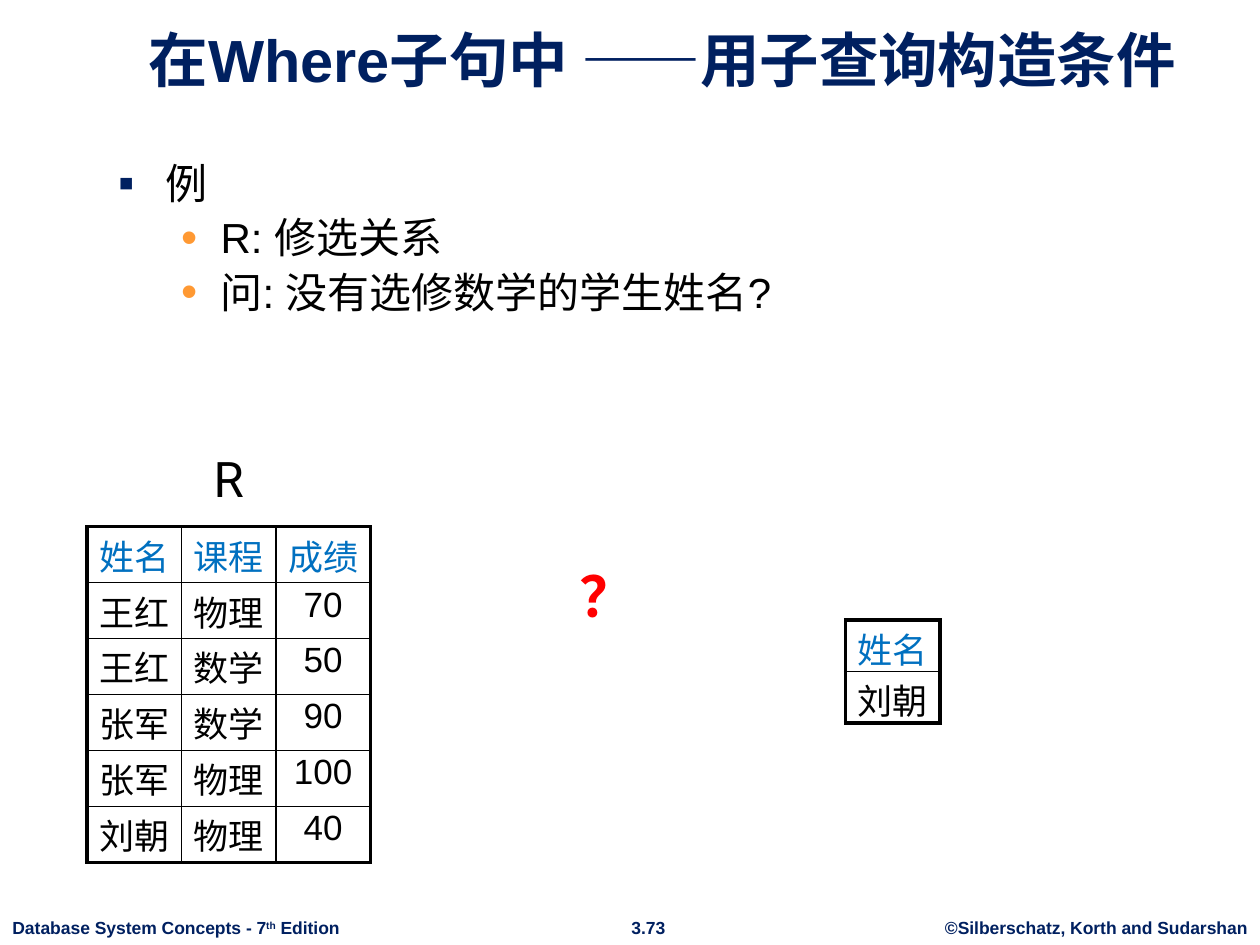
from dataclasses import dataclass

from lxml import etree
from pptx import Presentation
from pptx.dml.color import RGBColor
from pptx.enum.text import MSO_ANCHOR, PP_ALIGN
from pptx.oxml.ns import qn
from pptx.util import Pt

LEFT, CENTER = PP_ALIGN.LEFT, PP_ALIGN.CENTER
TOP, BOTTOM = MSO_ANCHOR.TOP, MSO_ANCHOR.BOTTOM
COLORS = {"navy": "002060", "black": "000000", "blue": "0070C0",
          "orange": "FF9933", "red": "FF0000", "white": "FFFFFF"}


@dataclass
class Style:
    size: float
    color: str = "black"
    bold: bool = False
    font: str = "Arial"


@dataclass
class Label:
    left: float
    top: float
    width: float
    height: float
    runs: list[str]
    style: Style
    align: PP_ALIGN = CENTER
    anchor: MSO_ANCHOR = TOP
    wrap: bool = False
    line_spacing: float = 1.0


@dataclass
class Bullet:
    text: str
    level: int
    char: str
    color: str
    margin: float
    hang: float


@dataclass
class Grid:
    left: float
    top: float
    row_height: float
    bottom_inset: float
    rows: list[list[str]]


FOOTER = Style(10, "navy", True)
BODY = Style(24)
LABELS = [
    Label(532.8, 520.5, 187.2, 19.5, ["©Silberschatz, Korth and Sudarshan"], FOOTER),
    Label(352.8, 520.5, 35.3, 19.5, ["3.73"], FOOTER),
    Label(0, 520.5, 202.3, 19.5, ["Database System Concepts - 7", "th", " Edition"],
          FOOTER, LEFT),
    Label(60.5, 9.4, 635.8, 48.2, ["在Where子句中 ——用子查询构造条件"],
          Style(34, "navy", True), anchor=BOTTOM, wrap=True),
    Label(85.7, 252.7, 90, 41, ["R"], Style(28, font="Roboto"), wrap=True),
    Label(324, 311.8, 46.8, 46.8, ["？"], Style(32, "red", True, "Roboto"),
          line_spacing=1.15),
]
BULLETS = [
    Bullet("例", 0, "▪", "navy", 27, 27),
    Bullet("R: 修选关系", 1, "•", "orange", 58.5, 22.5),
    Bullet("问: 没有选修数学的学生姓名?", 1, "•", "orange", 58.5, 22.5),
]
GRIDS = [
    Grid(49.7, 301, 32, 1.5, [
        ["姓名", "课程", "成绩"],
        ["王红", "物理", "70"],
        ["王红", "数学", "50"],
        ["张军", "数学", "90"],
        ["张军", "物理", "100"],
        ["刘朝", "物理", "40"],
    ]),
    Grid(483.1, 354.2, 29.5, 0, [["姓名"], ["刘朝"]]),
]


def rgb(name: str) -> RGBColor:
    """Return a named colour."""
    return RGBColor.from_string(COLORS[name])


def add_run(p, text: str, style: Style):
    """Add one styled run to a paragraph."""
    r = p.add_run()
    r.text = text
    r.font.name = style.font
    r.font.size = Pt(style.size)
    r.font.bold = style.bold
    r.font.color.rgb = rgb(style.color)
    return r


def add_label(s, label: Label) -> None:
    """Draw a one-paragraph text box."""
    sp = s.shapes.add_textbox(Pt(label.left), Pt(label.top),
                              Pt(label.width), Pt(label.height))
    tf = sp.text_frame
    tf.word_wrap = label.wrap
    tf.vertical_anchor = label.anchor
    p = tf.paragraphs[0]
    p.alignment = label.align
    p.line_spacing = label.line_spacing
    for text in label.runs:
        r = add_run(p, text, label.style)
        if text == "th":
            r.font._element.set("baseline", "30000")


def add_bullets(s, bullets: list[Bullet]) -> None:
    """Draw the bulleted body text."""
    sp = s.shapes.add_textbox(Pt(60.5), Pt(86.4), Pt(607), Pt(385.9))
    tf = sp.text_frame
    tf.word_wrap = True
    for i, bullet in enumerate(bullets):
        p = tf.add_paragraph() if i else tf.paragraphs[0]
        p.level = bullet.level
        pPr = p._p.get_or_add_pPr()
        pPr.set("marL", str(Pt(bullet.margin)))
        pPr.set("indent", str(-Pt(bullet.hang)))
        clr = etree.SubElement(pPr, qn("a:buClr"))
        etree.SubElement(clr, qn("a:srgbClr"), val=COLORS[bullet.color])
        etree.SubElement(pPr, qn("a:buSzPct"), val="110000")
        etree.SubElement(pPr, qn("a:buFont"), typeface="Arial")
        etree.SubElement(pPr, qn("a:buChar"), char=bullet.char)
        if i:
            p.space_before = Pt(2.4)
        add_run(p, bullet.text, BODY)


def add_border(cell, side: str, width: float) -> None:
    """Add one black border to a cell."""
    ln = etree.SubElement(cell._tc.get_or_add_tcPr(), qn(f"a:ln{side}"),
                          w=str(Pt(width)))
    fill = etree.SubElement(ln, qn("a:solidFill"))
    etree.SubElement(fill, qn("a:srgbClr"), val=COLORS["black"])


def add_grid(s, grid: Grid) -> None:
    """Draw a table with a thick frame and thin inner rules."""
    n_rows, n_cols = len(grid.rows), len(grid.rows[0])
    table = s.shapes.add_table(n_rows, n_cols, Pt(grid.left), Pt(grid.top),
                               Pt(54 * n_cols), Pt(grid.row_height * n_rows)).table
    table.first_row = table.horz_banding = False
    for i, row in enumerate(grid.rows):
        table.rows[i].height = Pt(grid.row_height)
        for j, text in enumerate(row):
            cell = table.cell(i, j)
            cell.margin_left = cell.margin_right = Pt(3)
            cell.margin_top, cell.margin_bottom = Pt(1.5), Pt(grid.bottom_inset)
            outer = {"L": j == 0, "R": j == n_cols - 1,
                     "T": i == 0, "B": i == n_rows - 1}
            for side, thick in outer.items():
                add_border(cell, side, 2.25 if thick else 1)
            cell.fill.solid()
            cell.fill.fore_color.rgb = rgb("white")
            p = cell.text_frame.paragraphs[0]
            p.alignment = CENTER
            add_run(p, text, Style(20, "black" if i else "blue"))


def main() -> None:
    """Build and save the slide."""
    prs = Presentation()
    prs.slide_width, prs.slide_height = Pt(720), Pt(540)
    s = prs.slides.add_slide(prs.slide_layouts[6])
    for label in LABELS:
        add_label(s, label)
    add_bullets(s, BULLETS)
    for grid in GRIDS:
        add_grid(s, grid)
    prs.save("out.pptx")


if __name__ == "__main__":
    main()
